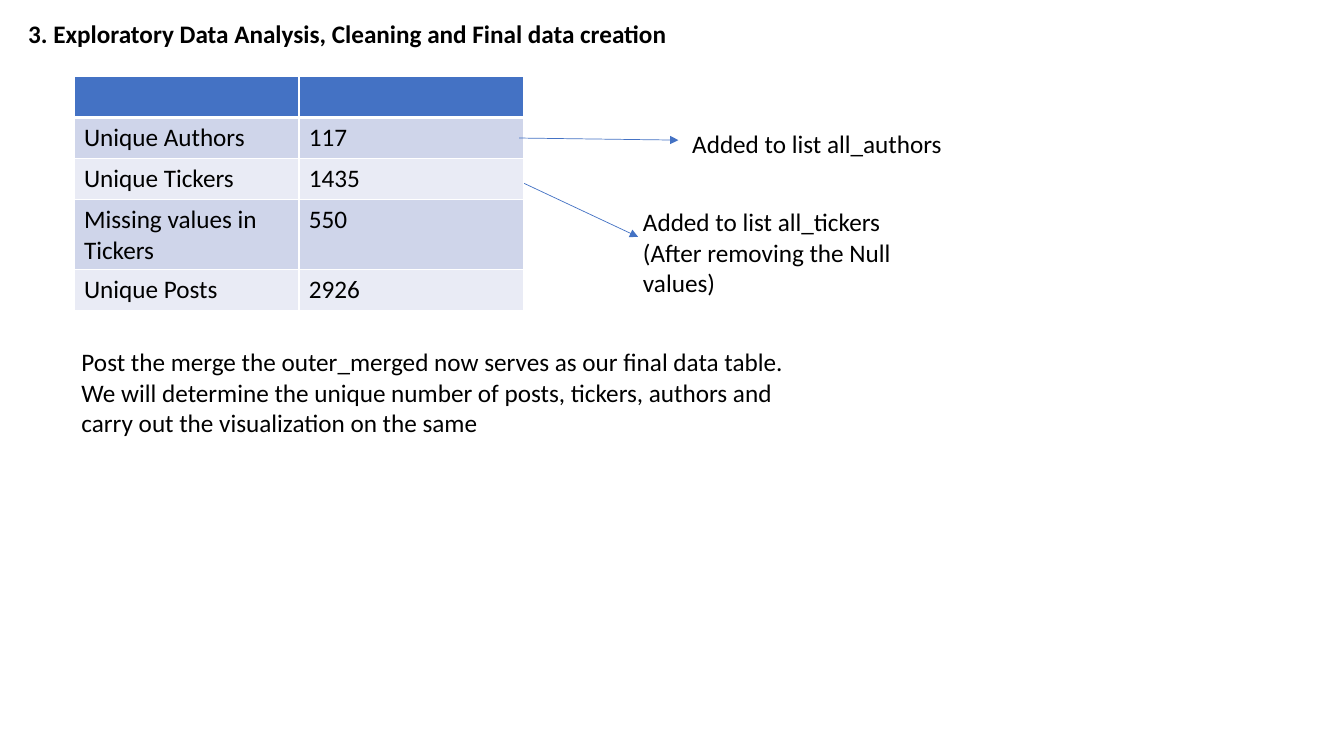
import pptx
import pptx.util
import pptx.dml.color
import pptx.enum.shapes
import pptx.enum.text
import pptx.oxml.ns
import lxml.etree

Pt = pptx.util.Pt


def tint(code):
    return pptx.dml.color.RGBColor.from_string(code)


def add_node(parent, tag, **attrs):
    return lxml.etree.SubElement(parent, pptx.oxml.ns.qn(tag), **attrs)


class Board:
    font = "Calibri"
    size = 18
    ink = "000000"
    blue = "4472C4"
    bands = ("CFD5EA", "E9EBF5")
    edge = "FFFFFF"

    def __init__(self, deck):
        self.slide = deck.slides.add_slide(deck.slide_layouts[6])

    def style(self, frame, bold=False):
        for para in frame.paragraphs:
            for run in para.runs:
                run.font.name = self.font
                run.font.size = Pt(self.size)
                run.font.bold = bold
                run.font.color.rgb = tint(self.ink)

    def text(self, words, left, top, width, height, bold=False):
        box = self.slide.shapes.add_textbox(Pt(left), Pt(top), Pt(width), Pt(height))
        frame = box.text_frame
        frame.word_wrap = True
        frame.auto_size = pptx.enum.text.MSO_AUTO_SIZE.SHAPE_TO_FIT_TEXT
        frame.text = words
        self.style(frame, bold)

    def arrow(self, start, end):
        line = self.slide.shapes.add_connector(
            pptx.enum.shapes.MSO_CONNECTOR.STRAIGHT, *map(Pt, start + end))
        line.line.color.rgb = tint(self.blue)
        line.line.width = Pt(0.5)
        add_node(line.line._get_or_add_ln(), "a:tailEnd", type="triangle")
        add_node(line._element.spPr, "a:effectLst")

    def border(self, cell, side, width):
        props = cell._tc.get_or_add_tcPr()
        line = add_node(props, "a:ln" + side, w=str(Pt(width)))
        fill = add_node(line, "a:solidFill")
        add_node(fill, "a:srgbClr", val=self.edge)

    def table(self, rows, left, top, width, heights):
        count = len(rows[0])
        grid = self.slide.shapes.add_table(
            len(rows), count, Pt(left), Pt(top), Pt(width), Pt(sum(heights))).table
        for col in grid.columns:
            col.width = Pt(width / count)
        for i, (row, height) in enumerate(zip(rows, heights)):
            grid.rows[i].height = Pt(height)
            for j, words in enumerate(row):
                cell = grid.cell(i, j)
                cell.text_frame.text = words
                self.style(cell.text_frame)
                for side in "LRTB":
                    thick = (i, side) in ((0, "B"), (1, "T"))
                    self.border(cell, side, 3 if thick else 1)
                cell.fill.solid()
                cell.fill.fore_color.rgb = tint(self.bands[(i - 1) % 2] if i else self.blue)


def main():
    deck = pptx.Presentation()
    deck.slide_width, deck.slide_height = Pt(960), Pt(540)
    board = Board(deck)
    board.text("3. Exploratory Data Analysis, Cleaning and Final data creation",
               13, 9.4, 879, 29, bold=True)
    rows = [
        ("", ""),
        ("Unique Authors", "117"),
        ("Unique Tickers", "1435"),
        ("Missing values in Tickers", "550"),
        ("Unique Posts", "2926"),
    ]
    board.table(rows, 52.8, 54.7, 321.4, [29.2, 29.2, 29.2, 50.4, 29.2])
    board.text("Added to list all_authors", 487.4, 88, 216, 29)
    board.text("Added to list all_tickers (After removing the Null values)",
               452.2, 144, 216, 72.7)
    board.arrow((370.8, 98.6), (484.6, 100.1))
    board.arrow((374.4, 131), (455.8, 169.2))
    board.text("Post the merge the outer_merged now serves as our final data table. "
               "We will determine the unique number of posts, tickers, authors and "
               "carry out the visualization on the same", 51.1, 244.1, 517.7, 72.7)
    deck.save("out.pptx")


if __name__ == "__main__":
    main()
